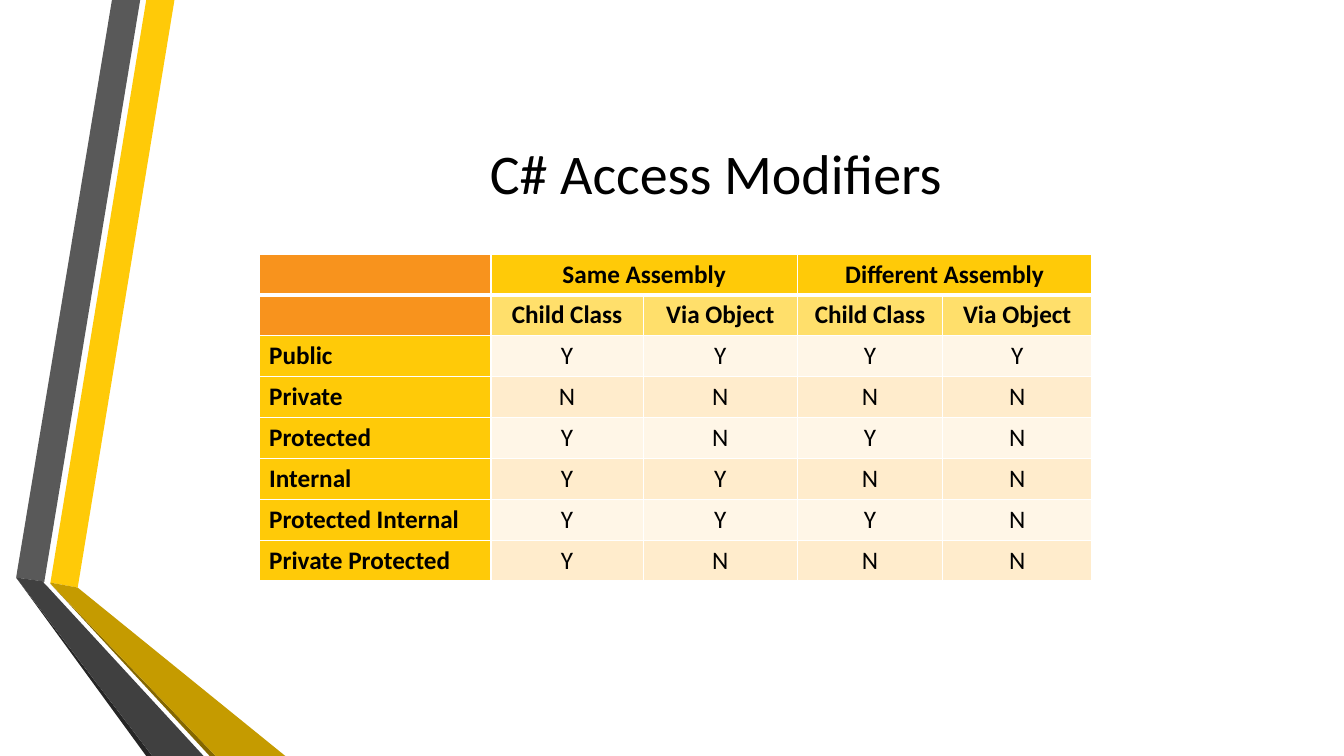
"""Build the C# access modifiers slide: folded ribbons, a title and a table."""
from lxml import etree
from pptx import Presentation, util as u
from pptx.dml.color import RGBColor
from pptx.enum import text
from pptx.oxml.ns import qn

COLOURS = {
    "gold": "FFCA08", "pale gold": "FFDF6B", "orange": "F8931D",
    "cream": "FFF6E7", "peach": "FFECCC", "white": "FFFFFF", "black": "000000",
    "grey": "595959", "dark grey": "404040", "charcoal": "262626",
    "ochre": "C59B00", "olive": "846700",
}
FONT = "Calibri"

deck = Presentation()
deck.slide_width, deck.slide_height = u.Inches(13.33), u.Inches(7.5)
slide = deck.slides.add_slide(deck.slide_layouts[5])


def place(across, down):
    """Turn percentages of the slide into a point in EMU."""
    return round(deck.slide_width * across / 100), round(deck.slide_height * down / 100)


def style(paragraph, size, bold, alignment):
    """Set the shared typeface and the given emphasis on a paragraph."""
    paragraph.alignment = alignment
    paragraph.font.name, paragraph.font.size, paragraph.font.bold = FONT, u.Pt(size), bold
    paragraph.font.color.rgb = RGBColor.from_string(COLOURS["black"])


ribbons = [
    ("gold", [(3.75, 77.07), (5.78, 77.73), (12.98, 0), (10.88, 0)]),
    ("grey", [(10.43, 0), (8.33, 0), (1.2, 76.4), (3.3, 76.93)]),
    ("charcoal", [(1.2, 76.4), (10.88, 100), (11.33, 100)]),
    ("olive", [(3.75, 77.2), (15.6, 100), (16.05, 100)]),
    ("ochre", [(3.75, 77.2), (16.05, 100), (21.23, 100), (5.78, 77.73), (3.75, 77.07)]),
    ("dark grey", [(15.15, 100), (3.6, 77.73), (3.23, 77.07), (3.3, 76.93),
                   (1.2, 76.4), (11.33, 100)]),
]
for colour, corners in ribbons:
    start, *rest = [place(*corner) for corner in corners]
    outline = slide.shapes.build_freeform(*start)
    outline.add_line_segments(rest)
    ribbon = outline.convert_to_shape()
    ribbon.shadow.inherit = False
    ribbon.fill.solid()
    ribbon.fill.fore_color.rgb = RGBColor.from_string(COLOURS[colour])
    ribbon.line.fill.background()

heading = slide.shapes.title
heading.left, heading.top = place(12.15, 10)
heading.width, heading.height = place(82.22, 25.6)
heading.text_frame.text = "C# Access Modifiers"
heading.text_frame.vertical_anchor = text.MSO_ANCHOR.MIDDLE
style(heading.text_frame.paragraphs[0], 40, False, text.PP_ALIGN.CENTER)

access = [
    ["", "Same Assembly", "", "Different Assembly", ""],
    ["", *["Child Class", "Via Object"] * 2],
    ["Public", *"YYYY"],
    ["Private", *"NNNN"],
    ["Protected", *"YNYN"],
    ["Internal", *"YYNN"],
    ["Protected Internal", *"YYYN"],
    ["Private Protected", *"YNNN"],
]
column_shares = [17.25, 11.33, 11.48, 10.8, 11.1]
row_share = 5.4
modifiers = slide.shapes.add_table(
    len(access), len(column_shares), *place(19.28, 33.6),
    *place(sum(column_shares), row_share * len(access))).table
modifiers.first_row = modifiers.horz_banding = False
for column, share in zip(modifiers.columns, column_shares):
    column.width = place(share, 0)[0]
for row in modifiers.rows:
    row.height = place(0, row_share)[1]
for first in (1, 3):
    modifiers.cell(0, first).merge(modifiers.cell(0, first + 1))

for r, entries in enumerate(access):
    for c, entry in enumerate(entries):
        cell = modifiers.cell(r, c)
        is_header = r < 2 or c == 0
        if c == 0:
            colour = "orange" if r < 2 else "gold"
        elif r < 2:
            colour = ("gold", "pale gold")[r]
        else:
            colour = ("cream", "peach")[r % 2]
        cell.fill.solid()
        cell.fill.fore_color.rgb = RGBColor.from_string(COLOURS[colour])
        cell.text = entry
        style(cell.text_frame.paragraphs[0], 18, is_header,
              text.PP_ALIGN.CENTER if c else text.PP_ALIGN.LEFT)
        properties = cell._tc.get_or_add_tcPr()
        for order, side in enumerate("LRTB"):
            thick = (r, side) in [(0, "B"), (1, "T")]
            border = etree.Element(qn(f"a:ln{side}"), w=str(u.Pt(3 if thick else 1)))
            fill = etree.SubElement(border, qn("a:solidFill"))
            etree.SubElement(fill, qn("a:srgbClr"), val=COLOURS["white"])
            properties.insert(order, border)

deck.save("out.pptx")
